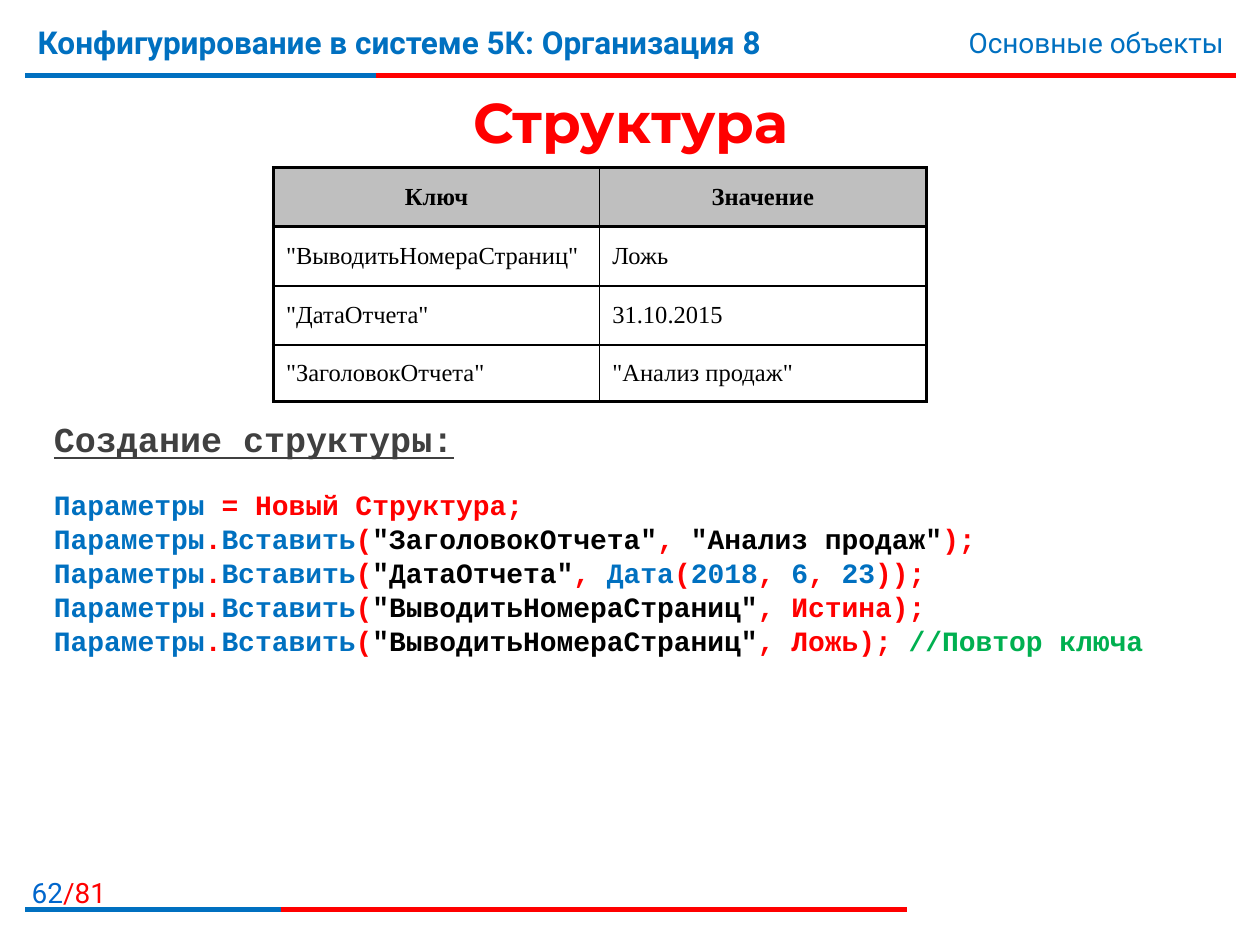
import pptx
import pptx.util
import pptx.dml.color
import pptx.enum.shapes
import pptx.enum.text
import pptx.oxml
import pptx.oxml.ns
from lxml import etree

HUES = {"blue": "0070C0", "link": "0066CC", "red": "FF0000", "black": "000000",
        "gray": "404040", "green": "00B050", "head": "BFBFBF", "white": "FFFFFF"}
UNIT = pptx.util.Inches(0.1)
COLS, ROWS = 100, 75
ALIGN = pptx.enum.text.PP_ALIGN
MIDDLE = pptx.enum.text.MSO_ANCHOR.MIDDLE

CELLS = [("Ключ", "Значение"),
         ('"ВыводитьНомераСтраниц"', "Ложь"),
         ('"ДатаОтчета"', "31.10.2015"),
         ('"ЗаголовокОтчета"', '"Анализ продаж"')]
CALL = [("Параметры", "blue"), (".", "red"), ("Вставить", "blue"), ("(", "red")]
CODE = [
    [("Параметры ", "blue"), ("= Новый Структура;", "red")],
    CALL + [('"ЗаголовокОтчета"', "black"), (", ", "red"),
            ('"Анализ продаж"', "black"), (");", "red")],
    CALL + [('"ДатаОтчета"', "black"), (",", "red"), (" Дата", "blue"), ("(", "red"),
            ("2018", "blue"), (",", "red"), (" 6", "blue"), (",", "red"),
            (" 23", "blue"), ("));", "red")],
    CALL + [('"ВыводитьНомераСтраниц"', "black"), (", Истина);", "red")],
    CALL + [('"ВыводитьНомераСтраниц"', "black"), (", Ложь); ", "red"),
            ("//Повтор ключа", "green")],
]


def grid(*box):
    """Turn grid columns and rows into lengths."""
    return [round(n * UNIT) for n in box]


def tint(hue):
    """Return the named colour."""
    return pptx.dml.color.RGBColor.from_string(HUES[hue])


def write(para, parts, face, size, bold=False, line=False):
    """Fill a paragraph with coloured runs of one font."""
    for text, hue in parts:
        run = para.add_run()
        run.text = text
        font = run.font
        font.name, font.size = face, pptx.util.Pt(size)
        font.bold, font.underline = bold, line
        font.color.rgb = tint(hue)


def label(slide, box, parts, size, align=ALIGN.LEFT, bold=False):
    """Place a one-line Roboto text."""
    frame = slide.shapes.add_textbox(*grid(*box)).text_frame
    frame.word_wrap = True
    para = frame.paragraphs[0]
    para.alignment = align
    write(para, parts, "Roboto", size, bold)


def rule(slide, left, top, width, share):
    """Draw a red line whose first share is blue."""
    for part, hue in ((1, "red"), (share, "blue")):
        ends = grid(left, top, left + width * part, top)
        line = slide.shapes.add_connector(
            pptx.enum.shapes.MSO_CONNECTOR.STRAIGHT, *ends)
        line.line.color.rgb = tint(hue)
        line.line.width = pptx.util.Pt(3)
        etree.SubElement(line._element.spPr, pptx.oxml.ns.qn("a:effectLst"))


def header(slide, left, top, width, height):
    """Place the course name, the topic and the line below them."""
    label(slide, (left, top, width * 0.77, height),
          [("Конфигурирование в системе 5К: Организация 8", "blue")], 18, bold=True)
    label(slide, (left + width * 0.6, top + 0.2, width * 0.4, height),
          [("Основные объекты", "blue")], 16, ALIGN.RIGHT)
    rule(slide, left, top + height, width, 0.29)


def footer(slide, left, top, width, height):
    """Place the page count and the line below it."""
    label(slide, (0, top, 9.4, height), [("62", "link"), ("/81", "red")],
          16, ALIGN.RIGHT)
    rule(slide, left, top + height, width, 0.29)


def title(slide, *box):
    """Place and format the slide title."""
    shape = slide.shapes.title
    shape.left, shape.top, shape.width, shape.height = grid(*box)
    frame = shape.text_frame
    frame.vertical_anchor = MIDDLE
    para = frame.paragraphs[0]
    para.alignment = ALIGN.CENTER
    write(para, [("Структура", "red")], "Montserrat", 32, True)


def border(cell, sides):
    """Give each side of a cell a black line of its width."""
    props = cell._tc.get_or_add_tcPr()
    for spot, (side, size) in enumerate(sides.items()):
        props.insert(spot, pptx.oxml.parse_xml(
            f'<a:ln{side} {pptx.oxml.ns.nsdecls("a")} w="{pptx.util.Pt(size)}">'
            f'<a:solidFill><a:srgbClr val="{HUES["black"]}"/></a:solidFill>'
            f'</a:ln{side}>'))


def table(slide, left, top, width, height):
    """Place the table of keys and values."""
    count, wide = len(CELLS), len(CELLS[0])
    made = slide.shapes.add_table(count, wide, *grid(left, top, width, height)).table
    for row, texts in enumerate(CELLS):
        first = row == 0
        made.rows[row].height = grid(4.5 if row == count - 1 else 4.7)[0]
        for col, text in enumerate(texts):
            cell = made.cell(row, col)
            cell.vertical_anchor = MIDDLE
            cell.fill.solid()
            cell.fill.fore_color.rgb = tint("head" if first else "white")
            para = cell.text_frame.paragraphs[0]
            para.alignment = ALIGN.CENTER if first else ALIGN.LEFT
            write(para, [(text, "black")], "Times New Roman", 14, first)
            border(cell, {"L": 2 if col == 0 else 1,
                          "R": 2 if col == wide - 1 else 1,
                          "T": 2 if row < 2 else 1,
                          "B": 2 if row in (0, count - 1) else 1})


def code(slide, *box):
    """Place the heading and the code lines."""
    frame = slide.shapes.add_textbox(*grid(*box)).text_frame
    frame.word_wrap = True
    frame.margin_top = UNIT
    para = frame.paragraphs[0]
    para.line_spacing = 0.8
    write(para, [("Создание структуры:", "gray")], "Courier New", 20, True, True)
    for row, parts in enumerate(CODE):
        para = frame.add_paragraph()
        para.line_spacing = 0.8
        para.space_before = pptx.util.Pt(4 if row else 20)
        write(para, parts, "Courier New", 16, True)


def main():
    """Build and save the slide."""
    deck = pptx.Presentation()
    deck.slide_width, deck.slide_height = grid(COLS, ROWS)
    slide = deck.slides.add_slide(deck.slide_layouts[5])
    header(slide, 2, 1.3, 96.1, 4.7)
    title(slide, 2, 6, 96.1, 7.3)
    table(slide, 21.7, 13.3, 51.8, 18.6)
    code(slide, 3.3, 32.8, 93.3, 35)
    footer(slide, 2, 69, 70, 3.2)
    deck.save("out.pptx")


if __name__ == "__main__":
    main()
